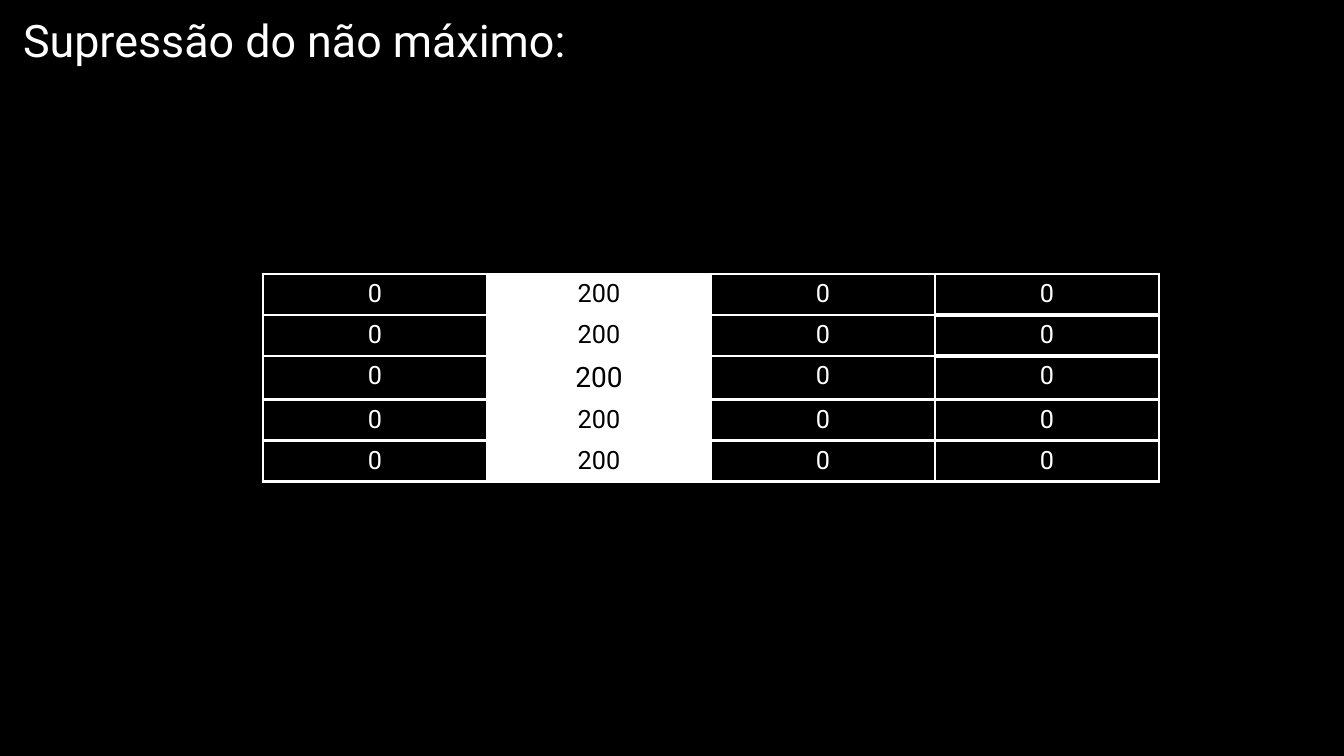
from dataclasses import dataclass

from lxml.etree import SubElement
from pptx import Presentation
from pptx.dml.color import RGBColor
from pptx.enum.text import MSO_ANCHOR, MSO_AUTO_SIZE, PP_ALIGN
from pptx.oxml.ns import qn
from pptx.util import Emu, Pt

WHITE, BLACK = "FFFFFF", "000000"
FONT = "Roboto"
ROWS, COLS = 5, 4
CELL_W, CELL_H = 224, 41
PEAK = 1  # column that keeps its value


@dataclass
class Cell:
    text: str
    ink: str = WHITE
    fill: str | None = None
    size: int = 18
    top: float = 2.25
    base: float = 2.25


def px(count: int) -> Emu:
    return Emu(round(count * 914400 / 100.8))


def color(code: str) -> RGBColor:
    return RGBColor.from_string(code)


def style(para, size: int, ink: str, align: PP_ALIGN) -> None:
    para.alignment = align
    para.font.name = FONT
    para.font.size = Pt(size)
    para.font.color.rgb = color(ink)


def border(cell, side: str, width: float) -> None:
    line = SubElement(cell._tc.get_or_add_tcPr(), qn(f"a:ln{side}"), w=str(Pt(width)))
    fill = SubElement(line, qn("a:solidFill"))
    SubElement(fill, qn("a:srgbClr"), val=WHITE)


def plan(row: int, col: int) -> Cell:
    if col == PEAK:
        return Cell("200", BLACK, WHITE, 20 if row == ROWS // 2 else 18)
    if col == COLS - 1:  # two thicker rules in the last column
        return Cell("0", top=3 if row in (1, 2) else 2.25, base=3 if row < 2 else 2.25)
    return Cell("0")


def draw(cell, data: Cell) -> None:
    cell.text = data.text
    style(cell.text_frame.paragraphs[0], data.size, data.ink, PP_ALIGN.CENTER)
    for side, width in (("L", 2.25), ("R", 2.25), ("T", data.top), ("B", data.base)):
        border(cell, side, width)
    if data.fill:
        cell.fill.solid()
        cell.fill.fore_color.rgb = color(data.fill)
    else:
        cell.fill.background()


def add_title(slide, text: str) -> None:
    title = slide.shapes.title
    title.left, title.top, title.width, title.height = map(px, (13, 8, 619, 65))
    frame = title.text_frame
    frame.text = text
    frame.word_wrap = True
    frame.auto_size = MSO_AUTO_SIZE.SHAPE_TO_FIT_TEXT
    frame.vertical_anchor = MSO_ANCHOR.TOP
    style(frame.paragraphs[0], 32, WHITE, PP_ALIGN.LEFT)


def add_grid(slide) -> None:
    box = map(px, (263, 274, COLS * CELL_W, ROWS * CELL_H))
    table = slide.shapes.add_table(ROWS, COLS, *box).table
    table.first_row = table.horz_banding = False
    for row in range(ROWS):
        for col in range(COLS):
            draw(table.cell(row, col), plan(row, col))


def main() -> None:
    deck = Presentation()
    deck.slide_width, deck.slide_height = px(1344), px(756)
    slide = deck.slides.add_slide(deck.slide_layouts.get_by_name("Title Only"))

    # Background
    slide.background.fill.solid()
    slide.background.fill.fore_color.rgb = color(BLACK)

    # Heading and grid of values
    add_title(slide, "Supressão do não máximo:")
    add_grid(slide)
    deck.save("out.pptx")


if __name__ == "__main__":
    main()
